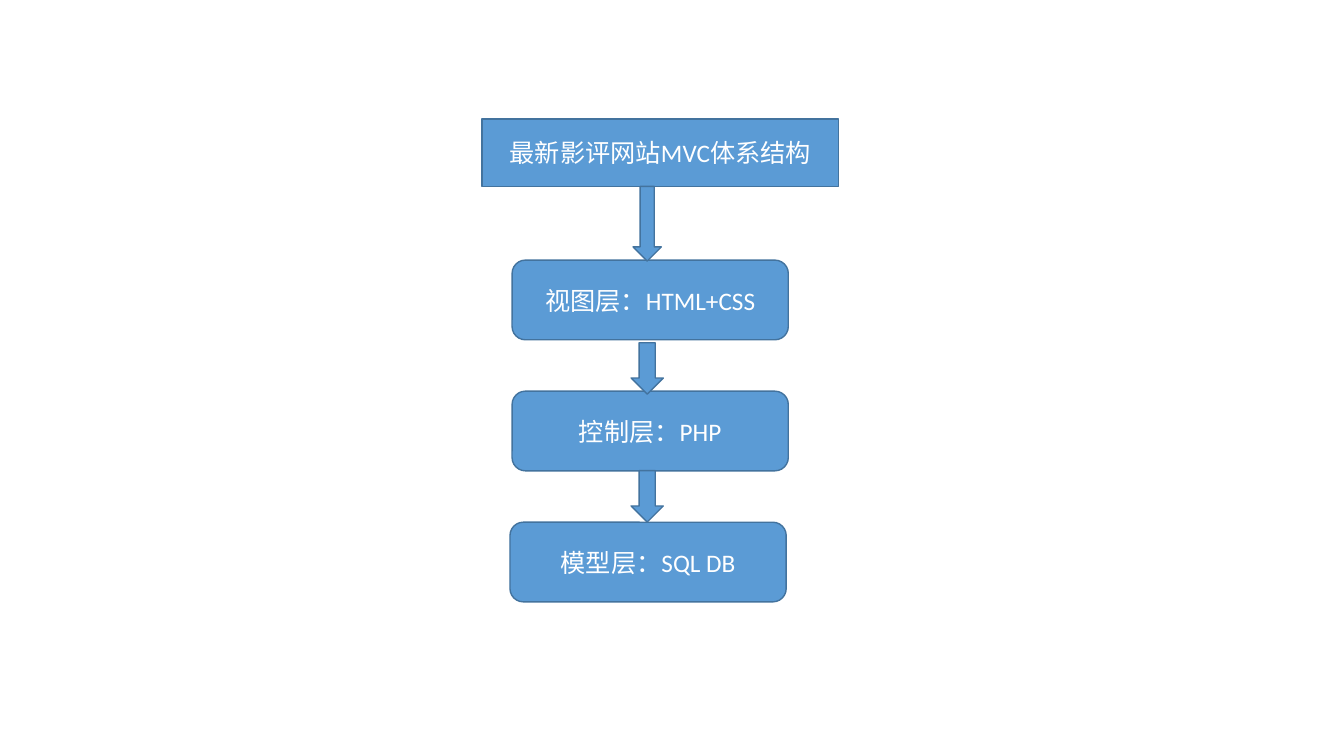
from dataclasses import dataclass

from pptx import Presentation
from pptx.dml.color import RGBColor
from pptx.enum.shapes import MSO_SHAPE as SHAPE
from pptx.enum.text import MSO_ANCHOR as ANCHOR, MSO_AUTO_SIZE as AUTO, PP_ALIGN as ALIGN
from pptx.shapes.autoshape import Shape
from pptx.slide import Slide
from pptx.util import Pt

BLUE = RGBColor(0x5B, 0x9B, 0xD5)
EDGE = RGBColor(0x43, 0x73, 0x9E)
WHITE = RGBColor(0xFF, 0xFF, 0xFF)

LAYER_TOP, LAYER_PITCH = 185.8, 93.6
LAYER_W, LAYER_H = 197.3, 56.9
ARROW_CENTER = 462.3


@dataclass(frozen=True)
class Layer:
    text: str
    left: float


@dataclass(frozen=True)
class Arrow:
    top: float
    width: float
    height: float


LAYERS = [
    Layer("视图层：HTML+CSS", 365.8),
    Layer("控制层：PHP", 365.8),
    Layer("模型层：SQL DB", 364.3),
]
ARROWS = [
    Arrow(133.2, 20.2, 53.3),
    Arrow(244.8, 23, 36.7),
    Arrow(336.2, 23, 36.7),
]


def paint(sp: Shape) -> None:
    sp.fill.solid()
    sp.fill.fore_color.rgb = BLUE
    sp.line.color.rgb = EDGE
    sp.line.width = Pt(1)


def write(sp: Shape, text: str, *, size: float = 18, font: str = "Calibri",
          color: RGBColor = WHITE, align: ALIGN = ALIGN.CENTER) -> None:
    tf = sp.text_frame
    tf.word_wrap = True
    tf.auto_size = AUTO.NONE
    tf.vertical_anchor = ANCHOR.MIDDLE
    p = tf.paragraphs[0]
    p.alignment = align
    r = p.add_run()
    r.text = text
    r.font.name = font
    r.font.size = Pt(size)
    r.font.color.rgb = color


def add_block(slide: Slide, kind: SHAPE, left: float, top: float,
              width: float, height: float) -> Shape:
    sp = slide.shapes.add_shape(kind, Pt(left), Pt(top), Pt(width), Pt(height))
    sp.shadow.inherit = False
    paint(sp)
    return sp


def add_title(slide: Slide, text: str) -> None:
    sp = slide.shapes.title
    sp.left, sp.top, sp.width, sp.height = Pt(344.2), Pt(85), Pt(254.9), Pt(48.2)
    paint(sp)
    write(sp, text)


def add_layer(slide: Slide, layer: Layer, top: float) -> None:
    sp = add_block(slide, SHAPE.ROUNDED_RECTANGLE, layer.left, top, LAYER_W, LAYER_H)
    write(sp, layer.text)


def add_arrow(slide: Slide, arrow: Arrow) -> None:
    left = ARROW_CENTER - arrow.width / 2
    add_block(slide, SHAPE.DOWN_ARROW, left, arrow.top, arrow.width, arrow.height)


def main() -> None:
    prs = Presentation()
    prs.slide_width, prs.slide_height = Pt(960), Pt(540)
    slide = prs.slides.add_slide(prs.slide_layouts.get_by_name("Title Only"))
    add_title(slide, "最新影评网站MVC体系结构")
    for i, layer in enumerate(LAYERS):
        add_layer(slide, layer, LAYER_TOP + i * LAYER_PITCH)
    for arrow in ARROWS:
        add_arrow(slide, arrow)
    prs.save("out.pptx")


if __name__ == "__main__":
    main()
